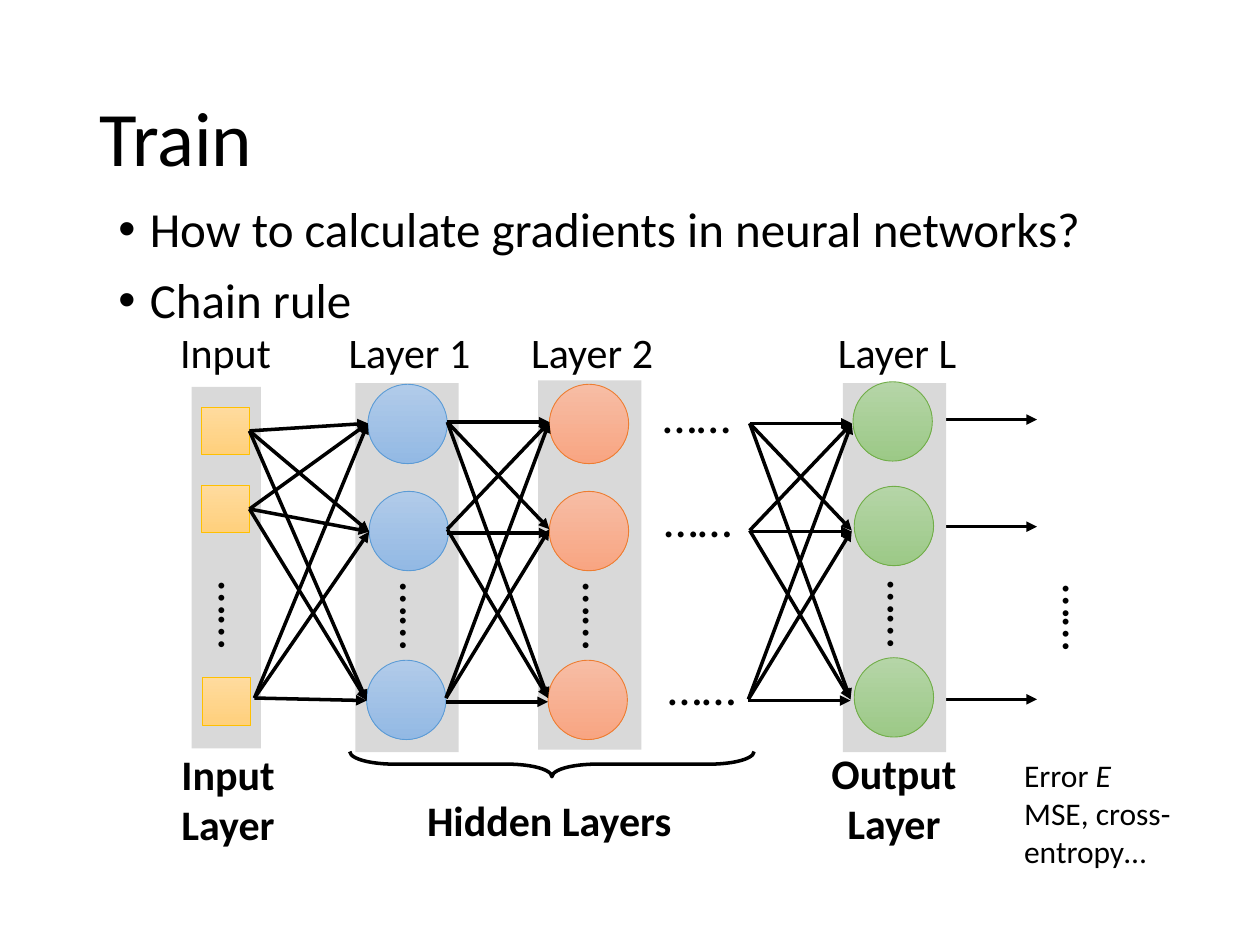
from lxml import etree
from pptx import Presentation, util as u
from pptx.dml.color import RGBColor
from pptx.enum import shapes, text
from pptx.oxml.ns import qn

COLORS = {
    "ink": "000000",
    "strip": "D9D9D9",
    # name: (gradient top, gradient bottom, outline)
    "yellow": ("FFDB9E", "FFD07C", "FFC000"),
    "blue": ("B1CBE9", "93B9E4", "5B9BD5"),
    "orange": ("F7BDA5", "F8A582", "ED7D31"),
    "green": ("B5D5A7", "9CC987", "70AD47"),
}
DOTS = "……"
NODE, SQUARE = 0.63, 0.38


def rgb(value):
    return RGBColor.from_string(value)


class NetworkSlide:
    font = "Calibri"
    line_width = u.Pt(2)

    def __init__(self, deck):
        self.page = deck.slides.add_slide(deck.slide_layouts[6])

    def label(self, at, paragraphs, size, bold=False, align="CENTER",
              rotation=0, anchor="TOP", spacing=1.0, bullet=False):
        """Each paragraph is a list of (words, italic) runs."""
        box = self.page.shapes.add_textbox(*map(u.Inches, at))
        box.rotation = rotation
        frame = box.text_frame
        frame.word_wrap = True
        frame.vertical_anchor = getattr(text.MSO_ANCHOR, anchor)
        for index, runs in enumerate(paragraphs):
            para = frame.add_paragraph() if index else frame.paragraphs[0]
            if bullet:
                self.add_bullet(para)
                if index:
                    para.space_before = u.Pt(10)
            para.alignment = getattr(text.PP_ALIGN, align)
            para.line_spacing = spacing
            for words, italic in runs:
                span = para.add_run()
                span.text = words
                span.font.name = self.font
                span.font.size = u.Pt(size)
                span.font.bold = bold
                span.font.italic = italic
                span.font.color.rgb = rgb(COLORS["ink"])

    def add_bullet(self, para):
        props = para._p.get_or_add_pPr()
        props.set("marL", str(u.Inches(0.25)))
        props.set("indent", str(u.Inches(-0.25)))
        etree.SubElement(props, qn("a:buFont")).set("typeface", "Arial")
        etree.SubElement(props, qn("a:buChar")).set("char", "•")

    def caption(self, at, words, bold=False):
        self.label(at, [[(words, False)]], 24, bold)

    def dots(self, left, top, rotation=0):
        self.label((left, top, 0.84, 0.57), [[(DOTS, False)]], 28,
                   rotation=rotation)

    def shape(self, kind, at):
        shape = self.page.shapes.add_shape(kind, *map(u.Inches, at))
        shape.shadow.inherit = False
        return shape

    def strip(self, *at):
        strip = self.shape(shapes.MSO_SHAPE.RECTANGLE, at)
        strip.fill.solid()
        strip.fill.fore_color.rgb = rgb(COLORS["strip"])
        strip.line.fill.background()

    def node(self, kind, left, top, size, color):
        node = self.shape(kind, (left, top, size, size))
        first, last, outline = COLORS[color]
        node.fill.gradient()
        node.fill.gradient_angle = 270
        for stop, value in zip(node.fill.gradient_stops, (first, last)):
            stop.color.rgb = rgb(value)
        node.line.color.rgb = rgb(outline)
        node.line.width = u.Pt(0.5)
        return node

    def brace(self, at):
        brace = self.shape(shapes.MSO_SHAPE.RIGHT_BRACE, at)
        brace.rotation = 90
        brace.adjustments[0] = 1.76
        brace.fill.background()
        brace.line.color.rgb = rgb(COLORS["ink"])
        brace.line.width = self.line_width

    def arrow(self, start, end):
        arrow = self.page.shapes.add_connector(
            shapes.MSO_CONNECTOR.STRAIGHT, *map(u.Inches, start + end))
        arrow.line.color.rgb = rgb(COLORS["ink"])
        arrow.line.width = self.line_width
        line = arrow.line._get_or_add_ln()
        etree.SubElement(line, qn("a:tailEnd")).set("type", "triangle")
        etree.SubElement(arrow._element.spPr, qn("a:effectLst"))
        return arrow

    def layer(self, name, left, top, nodes, dots_top, color):
        self.strip(left, top, 0.82, 2.93)
        self.caption((left - 0.19, 2.54, 1.24, 0.5), name)
        for x, y in nodes:
            self.node(shapes.MSO_SHAPE.OVAL, x, y, NODE, color)
        self.dots(left + 0.09, dots_top, 90)

    def weave(self, starts, ends, drop=0, squares=()):
        """Link every start to every end; level links sit lower by drop."""
        for row, (x1, y1) in enumerate(starts):
            for column, (x2, y2) in enumerate(ends):
                shift = drop if row == column and row else 0
                arrow = self.arrow((x1, y1 + shift), (x2, y2 + shift))
                if row < len(squares):
                    arrow.begin_connect(squares[row], 3)


def main():
    deck = Presentation()
    deck.slide_width, deck.slide_height = u.Inches(10), u.Inches(7.5)
    slide = NetworkSlide(deck)

    # Title and bullets
    slide.label((0.69, 0.4, 8.62, 1.45), [[("Train", False)]], 44,
                align="LEFT", anchor="MIDDLE", spacing=0.9)
    slide.label((0.84, 1.58, 8.62, 4.76),
                [[("How to calculate gradients in neural networks?", False)],
                 [("Chain rule", False)]],
                28, align="LEFT", spacing=0.9, bullet=True)

    # Captions below the network
    slide.caption((6.46, 5.88, 1.27, 0.91), "Output Layer", bold=True)
    slide.caption((3.23, 6.26, 2.26, 0.5), "Hidden Layers", bold=True)
    slide.caption((1.3, 5.89, 1.02, 0.91), "Input Layer", bold=True)
    slide.brace((4.28, 4.46, 0.2, 3.21))

    # Input layer
    slide.strip(1.52, 3.07, 0.55, 2.87)
    slide.caption((1.17, 2.54, 1.24, 0.5), "Input")
    squares = [slide.node(shapes.MSO_SHAPE.RECTANGLE, x, y, SQUARE, "yellow")
               for x, y in ((1.6, 3.23), (1.6, 3.85), (1.61, 5.38))]
    slide.dots(1.47, 4.6, 90)

    # Output arrows, starting behind the last layer
    for y in (3.33, 4.18, 5.55):
        slide.arrow((7.11, y), (8.23, y))

    # Hidden and output layers
    slide.layer("Layer 1", 2.82, 3.04,
                ((2.92, 3.05), (2.93, 3.9), (2.91, 5.24)), 4.61, "blue")
    slide.layer("Layer 2", 4.27, 3.02,
                ((4.36, 3.05), (4.36, 3.9), (4.35, 5.24)), 4.61, "orange")
    slide.layer("Layer L", 6.69, 3.04,
                ((6.77, 3.03), (6.78, 3.86), (6.78, 5.22)), 4.59, "green")

    # Dots for the layers and outputs left out
    for left, top in ((5.11, 3), (5.12, 3.83), (5.15, 5.16)):
        slide.dots(left, top)
    slide.dots(8.17, 4.62, 90)

    # Links between layers
    slide.weave(((1.98, 3.42), (1.98, 4.04), (2.02, 5.54)),
                ((2.92, 3.36), (2.93, 4.22), (2.91, 5.56)),
                squares=squares[:2])
    slide.weave(((3.55, 3.35), (3.55, 4.2), (3.54, 5.54)),
                ((4.36, 3.35), (4.36, 4.2), (4.35, 5.54)), drop=0.03)
    slide.weave(((5.95, 3.36), (5.95, 4.21), (5.94, 5.55)),
                ((6.76, 3.36), (6.76, 4.21), (6.75, 5.55)), drop=0.01)

    # Error note
    slide.label((8.03, 5.95, 1.53, 1.01),
                [[("Error ", False), ("E", True)],
                 [("MSE, cross-entropy…", False)]], 18, align="LEFT")

    deck.save("out.pptx")


if __name__ == "__main__":
    main()
